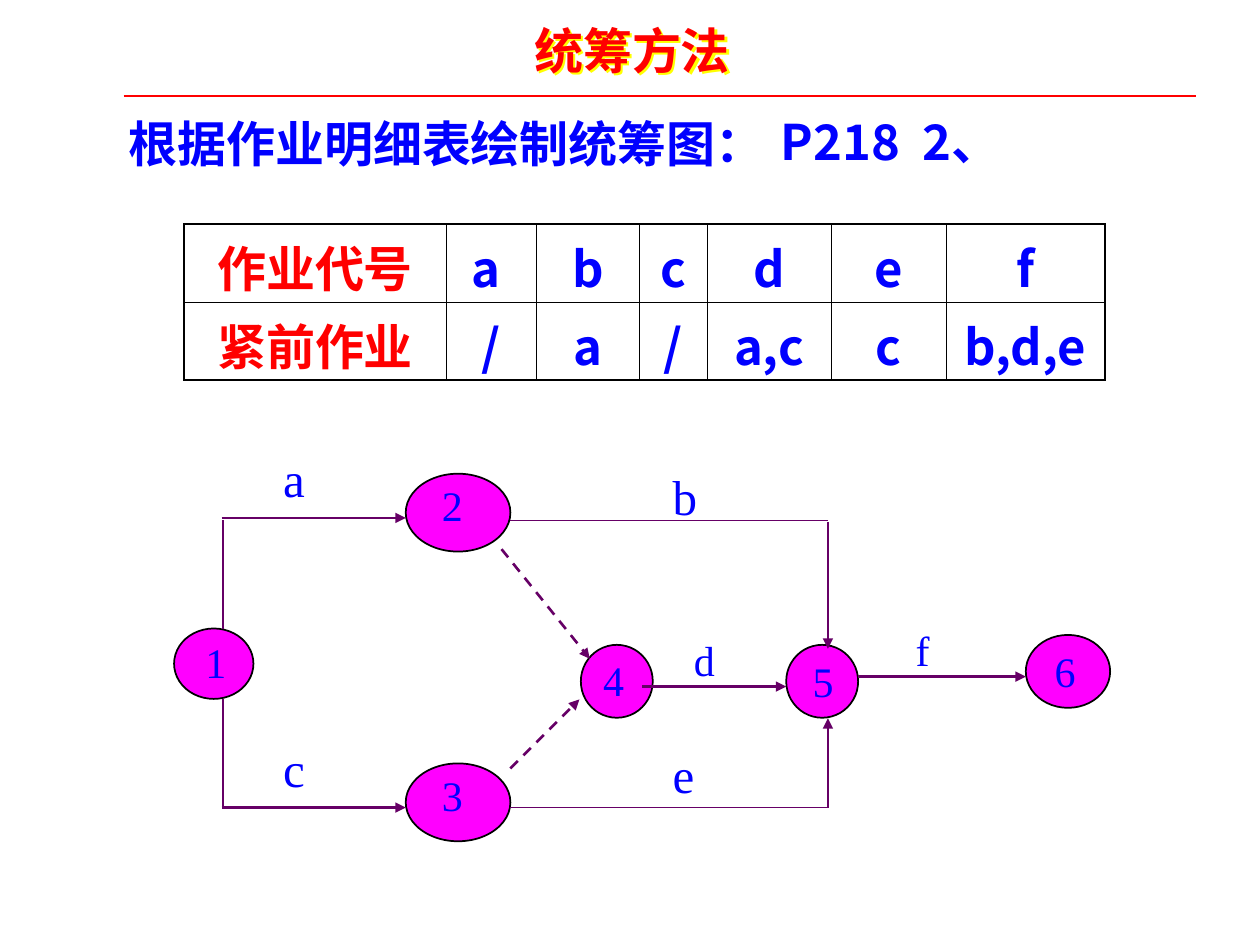
import pptx
import pptx.util
import pptx.dml.color
import pptx.enum.dml
import pptx.enum.shapes
import pptx.enum.text
import pptx.oxml
import pptx.oxml.ns
from lxml import etree

Cm, Pt = pptx.util.Cm, pptx.util.Pt
qn = pptx.oxml.ns.qn

COLORS = {"red": "FF0000", "blue": "0000FF", "yellow": "FFFF00",
          "magenta": "FF00FF", "purple": "660066", "black": "000000"}
SANS, SERIF = "Noto Sans CJK SC", "Times New Roman"

# Content: lengths in cm
TABLE_ROWS = [
    ["作业代号", "a ", "b", "c", "d", "e", "f"],
    ["紧前作业", "/", "a", "/", "a,c", "c", "b,d,e"],
]
COL_WIDTHS = [5.28, 1.83, 2.06, 1.37, 2.51, 2.31, 3.2]
ROW_HEIGHT = 1.57

# Node number: ellipse left, top, width, height; label left, top
NODES = {
    "1": (3.51, 12.67, 1.6, 1.42, 3.89, 12.7),
    "2": (8.18, 9.55, 2.11, 1.57, 8.66, 9.55),
    "3": (8.18, 15.39, 2.11, 1.57, 8.66, 15.39),
    "4": (11.71, 13, 1.45, 1.47, 11.91, 13.06),
    "5": (15.85, 13, 1.45, 1.47, 16.13, 13.08),
    "6": (20.68, 12.8, 1.7, 1.47, 21.01, 12.88),
}
# Activity: label left, top, size
ACTIVITIES = {
    "a": (5.46, 8.92, 28), "b": (13.31, 9.27, 28), "c": (5.46, 14.76, 28),
    "d": (13.74, 12.67, 24), "e": (13.31, 14.88, 28), "f": (18.21, 12.47, 24),
}
# Line ends: x1, y1, x2, y2
ARROWS = [
    (4.47, 10.44, 8.18, 10.44), (4.47, 16.28, 8.18, 16.28),
    (12.95, 13.84, 15.85, 13.84), (17.3, 13.64, 20.68, 13.64),
    (16.69, 10.52, 16.69, 13.08), (16.69, 16.28, 16.69, 14.48),
]
DUMMY_ARROWS = [(10.11, 11.07, 11.89, 13.28), (10.29, 15.49, 11.68, 14.1)]
PLAIN_LINES = [
    (4.5, 12.67, 4.5, 10.49), (4.5, 14.1, 4.5, 16.28),
    (10.29, 10.49, 16.69, 10.49), (10.29, 16.28, 16.69, 16.28),
]


def rgb(name):
    return pptx.dml.color.RGBColor.from_string(COLORS[name])


def set_font(p, size, color, font, bold):
    p.font.size, p.font.name, p.font.bold = Pt(size), font, bold
    p.font.color.rgb = rgb(color)
    for r in p.runs:  # East Asian typeface
        etree.SubElement(r._r.get_or_add_rPr(), qn("a:ea"), typeface=SANS)


def add_text(text, x, y, w, h, size, color="blue", font=SERIF, bold=False, tab=None):
    s = slide.shapes.add_textbox(Cm(x), Cm(y), Cm(w), Cm(h))
    s.text_frame.word_wrap = True
    p = s.text_frame.paragraphs[0]
    p.text = text
    if tab:
        tabs = etree.SubElement(p._p.get_or_add_pPr(), qn("a:tabLst"))
        etree.SubElement(tabs, qn("a:tab"), pos=str(Cm(tab)), algn="l")
    set_font(p, size, color, font, bold)
    return s


def add_line(ends, color="purple", width=1.5, arrow=True, dashed=False):
    s = slide.shapes.add_connector(pptx.enum.shapes.MSO_CONNECTOR.STRAIGHT,
                                   *[Cm(v) for v in ends])
    s.line.color.rgb = rgb(color)
    s.line.width = Pt(width)
    if dashed:
        s.line.dash_style = pptx.enum.dml.MSO_LINE.DASH
    if arrow:
        etree.SubElement(s.line._get_or_add_ln(), qn("a:tailEnd"), type="triangle")
    etree.SubElement(s._element.spPr, qn("a:effectLst"))


def set_border(cell, side, width):
    ln = etree.SubElement(cell._tc.get_or_add_tcPr(), qn(f"a:ln{side}"), w=str(Pt(width)))
    fill = etree.SubElement(ln, qn("a:solidFill"))
    etree.SubElement(fill, qn("a:srgbClr"), val=COLORS["black"])


prs = pptx.Presentation()
prs.slide_width, prs.slide_height = Cm(25.4), Cm(19.05)
slide = prs.slides.add_slide(prs.slide_layouts[6])

# Title with a yellow shadow, and its rule
title = add_text("统筹方法", 10.52, 0.28, 4.95, 1.45, 28, "red", SANS, True)
title.text_frame.word_wrap = False
effects = etree.SubElement(title._element.spPr, qn("a:effectLst"))
shadow = etree.SubElement(effects, qn("a:outerShdw"), dist=str(Pt(2)), dir="2700000")
etree.SubElement(shadow, qn("a:srgbClr"), val=COLORS["yellow"])
add_line((2.49, 1.93, 24.1, 1.93), "red", 1, arrow=False)

# Task heading
add_text("根据作业明细表绘制统筹图：", 2.34, 2.16, 17.2, 1.45, 28, bold=True)
add_text("P218\t2、", 15.49, 2.13, 5.61, 1.45, 28, font=SANS, bold=True, tab=2.86)

# Activity table
n_rows, n_cols = len(TABLE_ROWS), len(COL_WIDTHS)
table = slide.shapes.add_table(n_rows, n_cols, Cm(3.71), Cm(4.52),
                               Cm(sum(COL_WIDTHS)), Cm(ROW_HEIGHT * n_rows)).table
table.first_row = table.horz_banding = False
for col, width in zip(table.columns, COL_WIDTHS):
    col.width = Cm(width)
for i, texts in enumerate(TABLE_ROWS):
    table.rows[i].height = Cm(ROW_HEIGHT)
    for j, text in enumerate(texts):
        cell = table.cell(i, j)
        cell.vertical_anchor = pptx.enum.text.MSO_ANCHOR.MIDDLE
        cell.margin_bottom = 0
        p = cell.text_frame.paragraphs[0]
        p.text = text
        p.alignment = pptx.enum.text.PP_ALIGN.CENTER
        set_font(p, 28, "blue" if j else "red", SANS, True)
        outer = {"L": j == 0, "R": j == n_cols - 1, "T": i == 0, "B": i == n_rows - 1}
        for side, is_outer in outer.items():
            set_border(cell, side, 1.08 if is_outer else 0.45)
        cell.fill.background()

# Network nodes
for x, y, w, h, _, _ in NODES.values():
    s = slide.shapes.add_shape(pptx.enum.shapes.MSO_SHAPE.OVAL, Cm(x), Cm(y), Cm(w), Cm(h))
    s.shadow.inherit = False
    s.fill.solid()
    s.fill.fore_color.rgb = rgb("magenta")
    s.line.color.rgb = rgb("black")
    s.line.width = Pt(1)

# Network lines
for ends in PLAIN_LINES:
    add_line(ends, width=1, arrow=False)
for ends in ARROWS:
    add_line(ends)
for ends in DUMMY_ARROWS:
    add_line(ends, dashed=True)

# Node numbers and activity letters
for number, (*_, x, y) in NODES.items():
    add_text(number, x, y, 0.95, 1.27, 24)
for letter, (x, y, size) in ACTIVITIES.items():
    add_text(letter, x, y, 0.95, 1.45 if size == 28 else 1.27, size)

prs.save("out.pptx")
